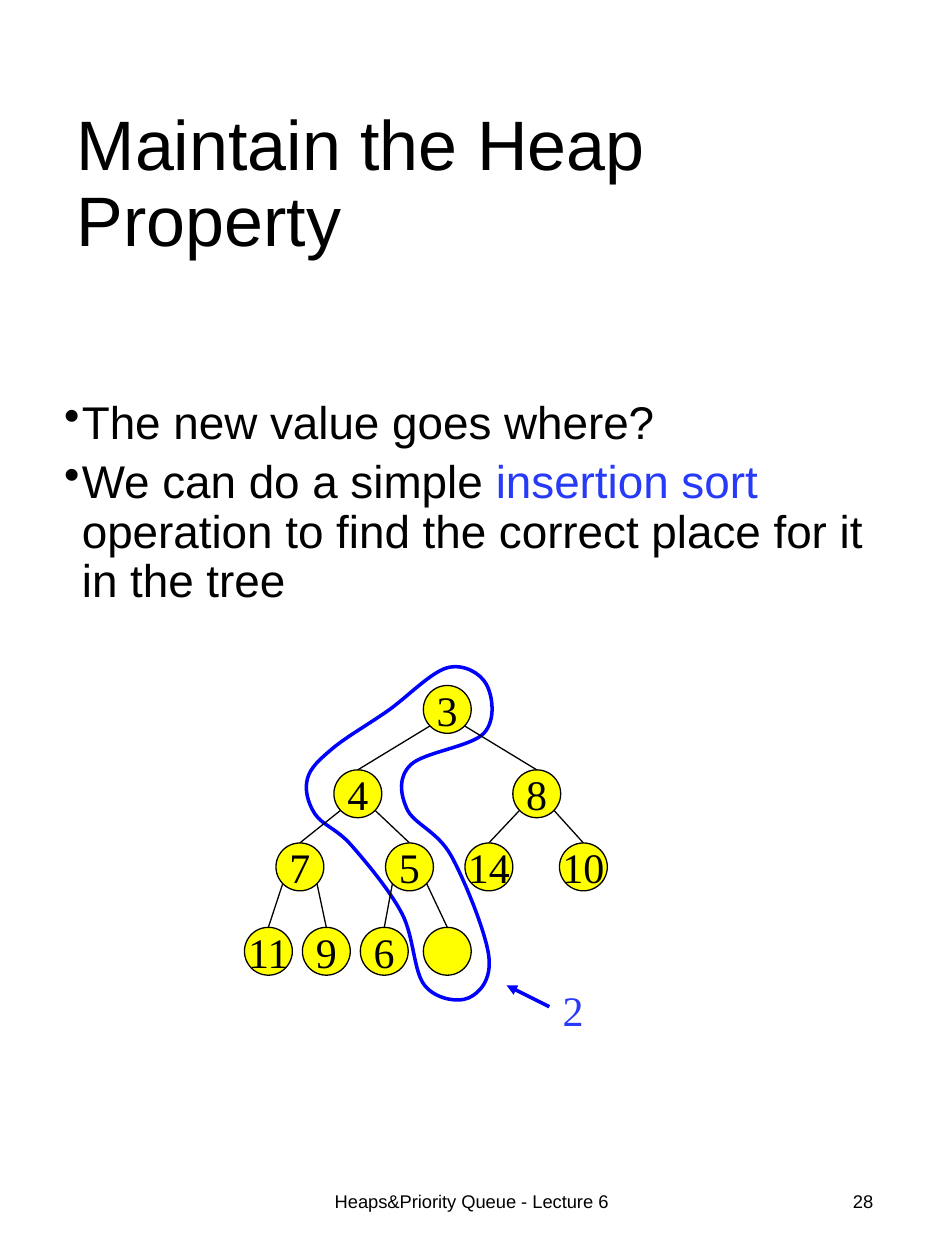
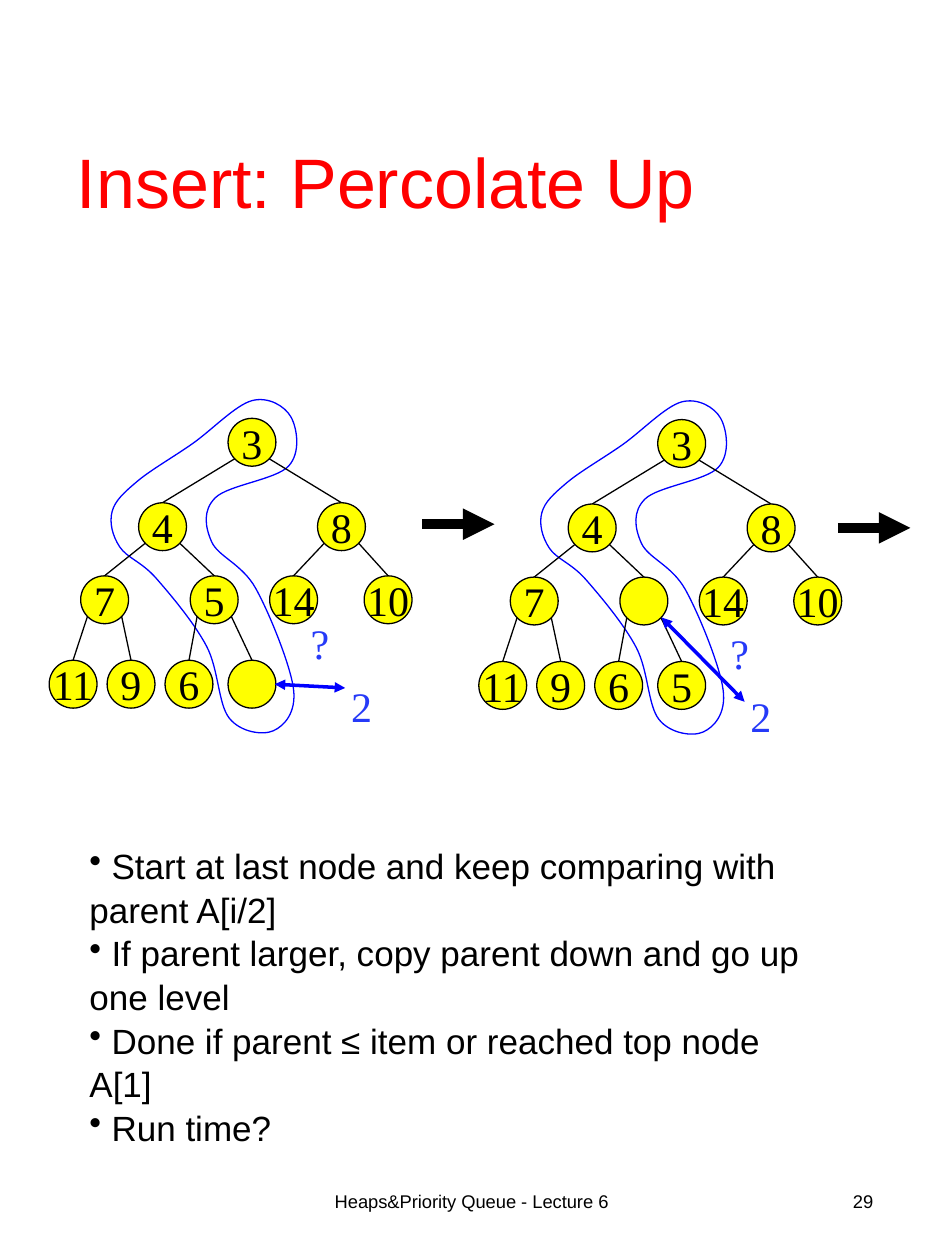
from pptx import Presentation
from pptx.dml.color import RGBColor
from pptx.enum import shapes, text
from pptx.oxml.ns import qn
from pptx import util as u
from lxml import etree

# Shared grid: 75 columns by 100 rows
WIDE, HIGH = u.Inches(7.5), u.Inches(10)
COLS, ROWS = 75, 100

BLACK, RED, BLUE, INK, YELLOW = "000000", "FF0000", "0000FF", "263AF8", "FFFF00"
SANS, SERIF = "Arial", "Times New Roman"
LEFT, MID, RIGHT = text.PP_ALIGN.LEFT, text.PP_ALIGN.CENTER, text.PP_ALIGN.RIGHT
FOOTER = "Heaps&Priority Queue - Lecture 6"

# Node corners in heap order, relative to the corner of the tree
NODE = 3.8
SPOTS = [(14.2, 0), (7.1, 6.7), (21.3, 6.7),
         (2.5, 12.5), (11.2, 12.5), (17.5, 12.5), (25, 12.5),
         (0, 19.2), (4.6, 19.2), (9.2, 19.2), (14.2, 19.2)]
# Points that the loop around the insertion route passes through
ROUTE = [(19.2, -0.1), (16.1, -1.4), (11.4, 2), (7, 5), (5, 7.4),
         (5.6, 10.2), (8.5, 12.7), (12.5, 18.1), (14.3, 23.8), (17.8, 24.8),
         (19.4, 21.5), (16.4, 13.5), (12.9, 9.8), (13.2, 6.3), (19, 3.8)]


def hue(code):
    return RGBColor.from_string(code)


def cell(x, y):
    return u.Emu(round(x * WIDE / COLS)), u.Emu(round(y * HIGH / ROWS))


def put(item, vals):
    for name, val in vals.items():
        setattr(item, name, val)


def style(font, size, color, face=SANS):
    put(font, {"size": u.Pt(size), "name": face})
    font.color.rgb = hue(color)


def bullet(para, hang=0):
    props = para._p.get_or_add_pPr()
    props.set("marL", str(u.Inches(hang)))
    props.set("indent", str(-u.Inches(hang)))
    etree.SubElement(props, qn("a:buChar")).set("char", "•")


def block(slide, box, paras, size, color=BLACK, align=LEFT, hang=None,
          para_fmt=None, gap=0, pad=(0.06, 0.04), **frame_fmt):
    """Each paragraph is a list of (words, colour or None) runs."""
    shape = slide.shapes.add_textbox(*cell(*box[:2]), *cell(*box[2:]))
    frame = shape.text_frame
    side, edge = map(u.Inches, pad)
    put(frame, {"word_wrap": True, "margin_left": side, "margin_right": side,
                "margin_top": edge, "margin_bottom": edge, **frame_fmt})
    for i, runs in enumerate(paras):
        para = frame.add_paragraph() if i else frame.paragraphs[0]
        if i and gap:
            para.space_before = u.Pt(gap)
        put(para, {"alignment": align, **(para_fmt or {})})
        if hang is not None:
            bullet(para, hang)
        for words, tint in runs:
            run = para.add_run()
            run.text = words
            style(run.font, size, tint or color)


def line(slide, start, end, color=BLACK, width=0.75, ends=()):
    link = slide.shapes.add_connector(
        shapes.MSO_CONNECTOR.STRAIGHT, *cell(*start), *cell(*end))
    link.line.color.rgb = hue(color)
    link.line.width = u.Pt(width)
    for end_tag in ends:
        tip = etree.SubElement(link.line._get_or_add_ln(), qn("a:" + end_tag))
        tip.set("type", "triangle")
    etree.SubElement(link._element.spPr, qn("a:effectLst"))


def node(slide, spot, label, color=BLACK, fill=YELLOW):
    shape = slide.shapes.add_shape(
        shapes.MSO_SHAPE.OVAL, *cell(*spot), *cell(NODE, NODE))
    shape.shadow.inherit = False
    if fill:
        shape.fill.solid()
        shape.fill.fore_color.rgb = hue(fill)
        shape.line.color.rgb = hue(BLACK)
        shape.line.width = u.Pt(0.75)
    else:
        shape.fill.background()
        shape.line.fill.background()
    if label:
        frame = shape.text_frame
        put(frame, {"word_wrap": False, "vertical_anchor": text.MSO_ANCHOR.MIDDLE})
        para = frame.paragraphs[0]
        para.alignment = MID
        run = para.add_run()
        run.text = label
        style(run.font, 24, color, SERIF)


def loop(slide, points, width):
    """Closed smooth curve: each handle is a sixth of the neighbours' span."""
    count = len(points)
    path = []
    for i in range(count):
        a, b, c, d = (points[(i + k) % count] for k in (-1, 0, 1, 2))
        path += [tuple(q + (r - p) / 6 for p, q, r in zip(a, b, c)),
                 tuple(r - (s - q) / 6 for q, r, s in zip(b, c, d)), c]
    pen = slide.shapes.build_freeform(*cell(*points[0]))
    pen.add_line_segments([cell(*p) for p in path], close=True)
    shape = pen.convert_to_shape()
    # Every three straight steps become one cubic curve
    steps = list(shape._element.iter(qn("a:lnTo")))
    for i in range(0, len(steps), 3):
        curve = etree.Element(qn("a:cubicBezTo"))
        steps[i].addprevious(curve)
        for step in steps[i:i + 3]:
            curve.append(step[0])
            step.getparent().remove(step)
    shape.shadow.inherit = False
    shape.fill.background()
    shape.line.color.rgb = hue(BLUE)
    shape.line.width = u.Pt(width)


def tree(slide, corner, labels, marks, arrow, ends, width):
    def at(x, y):
        return corner[0] + x, corner[1] + y

    loop(slide, [at(*p) for p in ROUTE], width)
    # Edges: from the lower side of the parent to the top of the child
    half = NODE / 2
    for i, (x, y) in enumerate(SPOTS[1:], 1):
        px, py = SPOTS[(i - 1) // 2]
        side = -1.35 if i % 2 else 1.35
        line(slide, at(px + half + side, py + 3.2), at(x + half, y))
    for spot, label in zip(SPOTS, labels):
        node(slide, at(*spot), label)
    # New value and its arrow
    line(slide, at(*arrow[0]), at(*arrow[1]), BLUE, 2, ends)
    for label, spot in marks:
        node(slide, at(*spot), label, INK, None)


def page(deck, title, number, color=BLACK):
    slide = deck.slides.add_slide(deck.slide_layouts[6])
    middle = {"vertical_anchor": text.MSO_ANCHOR.MIDDLE}
    block(slide, (24.8, 92.7, 25.3, 5.3), [[(FOOTER, None)]], 10.5,
          align=MID, **middle)
    block(slide, (53, 92.7, 16.9, 5.3), [[(str(number), None)]], 10.5,
          align=RIGHT, **middle)
    block(slide, (5.5, 5.1, 64.7, 19.3), [[(title, None)]], 40, color,
          para_fmt={"line_spacing": 0.9}, **middle)
    return slide


def maintain(deck):
    slide = page(deck, "Maintain the Heap Property", 28)
    block(slide, (4.5, 31.3, 67.7, 23.1), [
        [("The new value goes where?", None)],
        [("We can do a simple ", None), ("insertion sort ", INK),
         ("operation to find the correct place for it in the tree", None)],
    ], 26.2, hang=0.14, gap=5.7, para_fmt={"line_spacing": 0.9})
    tree(slide, (19.4, 54.4), "3 4 8 7 5 14 10 11 9 6".split() + [""],
         [("2", (24.2, 23.8))], [(24.2, 25.5), (20.8, 23.8)], ["tailEnd"], 2)


def percolate(deck):
    slide = page(deck, "Insert: Percolate Up", 29, RED)
    both = ["headEnd", "tailEnd"]
    tree(slide, (3.9, 33.2), "3 4 8 7 5 14 10 11 9 6".split() + [""],
         [("2", (22.9, 20.9)), ("?", (19.6, 15.9))],
         [(23.5, 21.4), (17.9, 21.1)], both, 0.75)
    tree(slide, (38, 33.3), ["3", "4", "8", "7", ""] + "14 10 11 9 6 5".split(),
         [("2", (20.5, 21.6)), ("?", (18.8, 16.6))],
         [(14.5, 15.7), (21.1, 22.4)], both, 0.75)
    # Step arrows
    for x, y in [(33.5, 41.6), (66.5, 41.9)]:
        line(slide, (x, y), (x + 5.75, y), BLACK, 6, ["tailEnd"])
    rules = [" Start at last node and keep comparing with parent A[i/2]",
             " If parent larger, copy parent down and go up one level",
             " Done if parent ≤ item or reached top node A[1]",
             " Run time?"]
    block(slide, (6.3, 66.4, 60.3, 21.2), [[(rule, None)] for rule in rules], 20,
          hang=0, para_fmt={"line_spacing": 1.04}, pad=(0.08, 0.05))


def main():
    deck = Presentation()
    put(deck, {"slide_width": WIDE, "slide_height": HIGH})
    maintain(deck)
    percolate(deck)
    deck.save("out.pptx")


if __name__ == "__main__":
    main()
